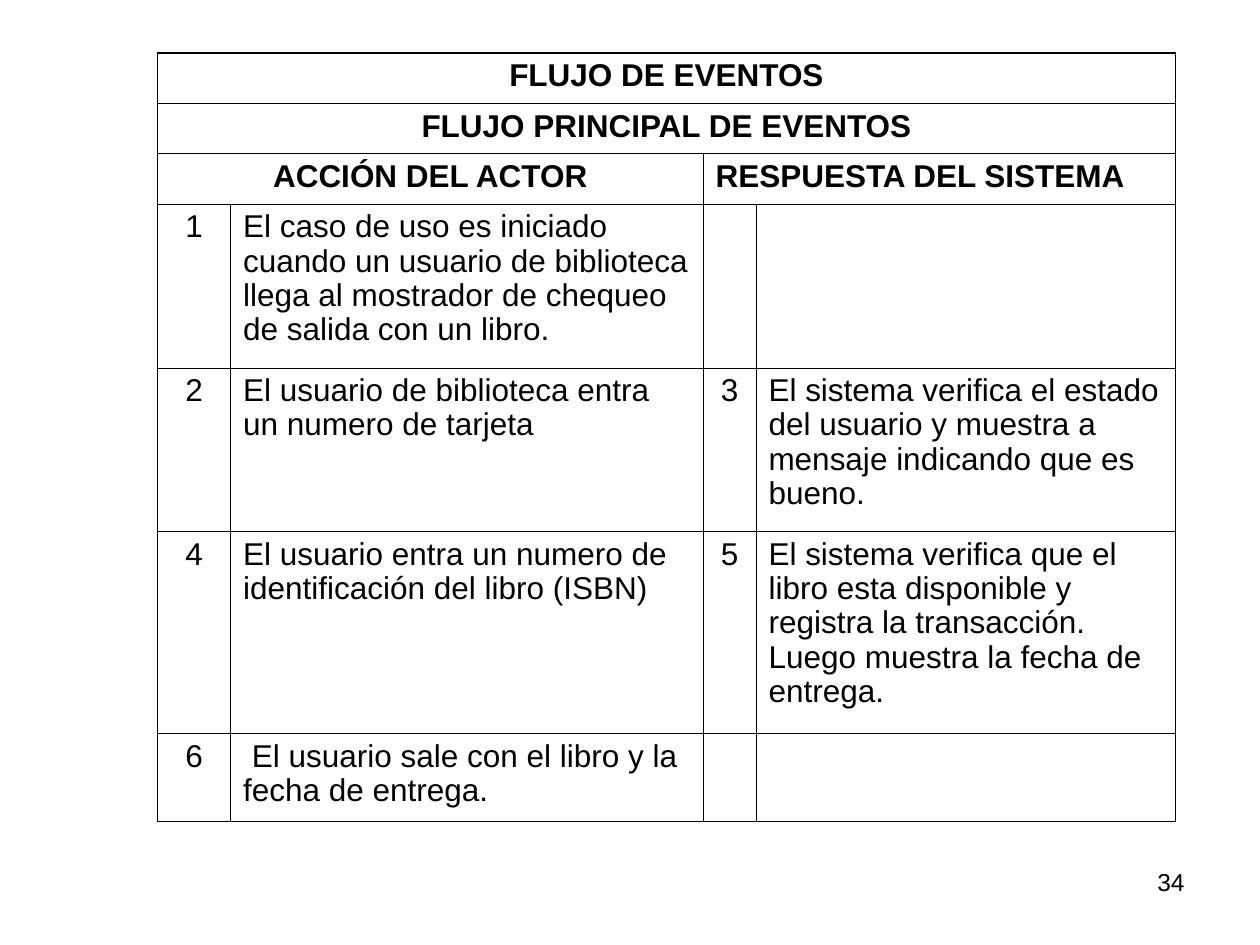
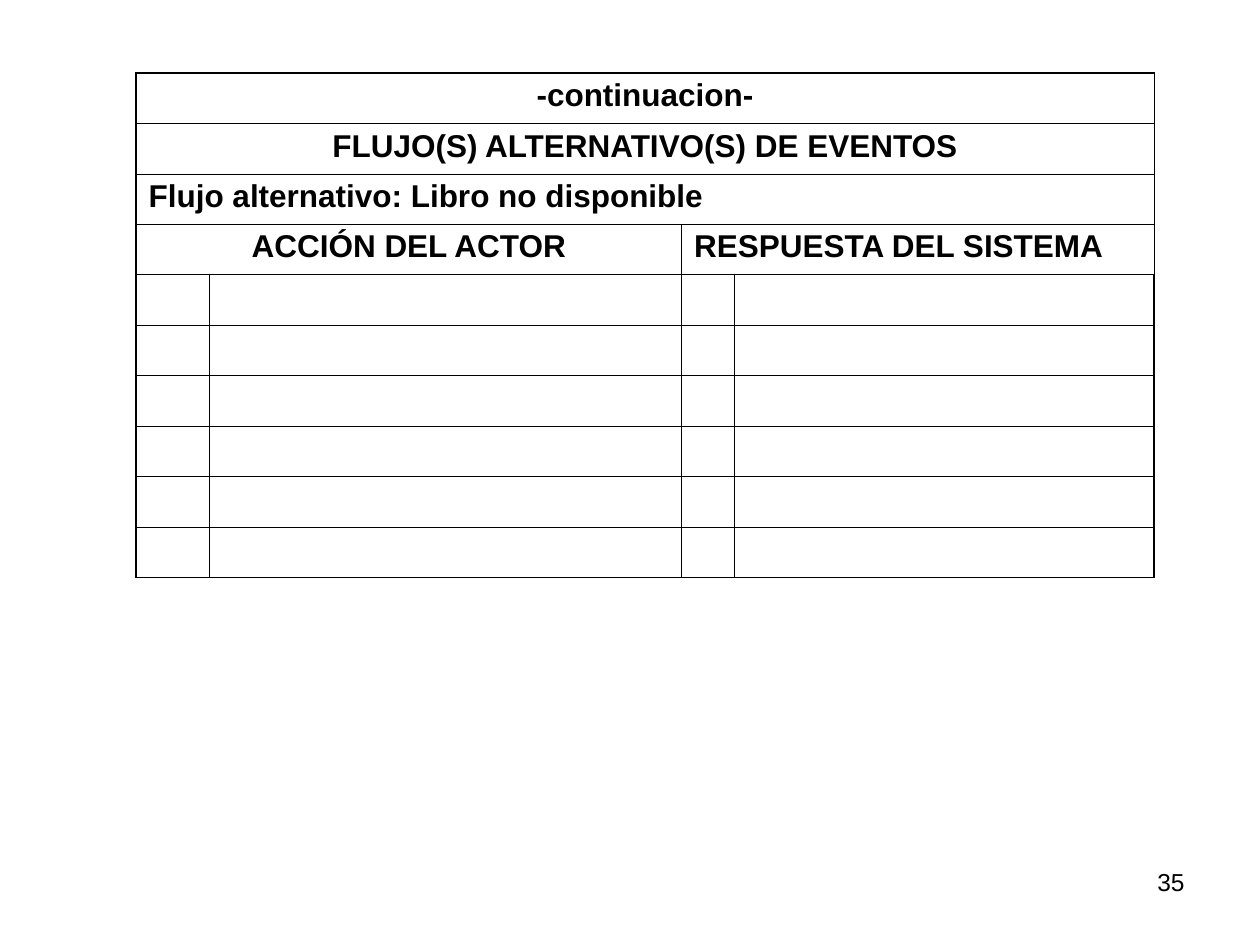
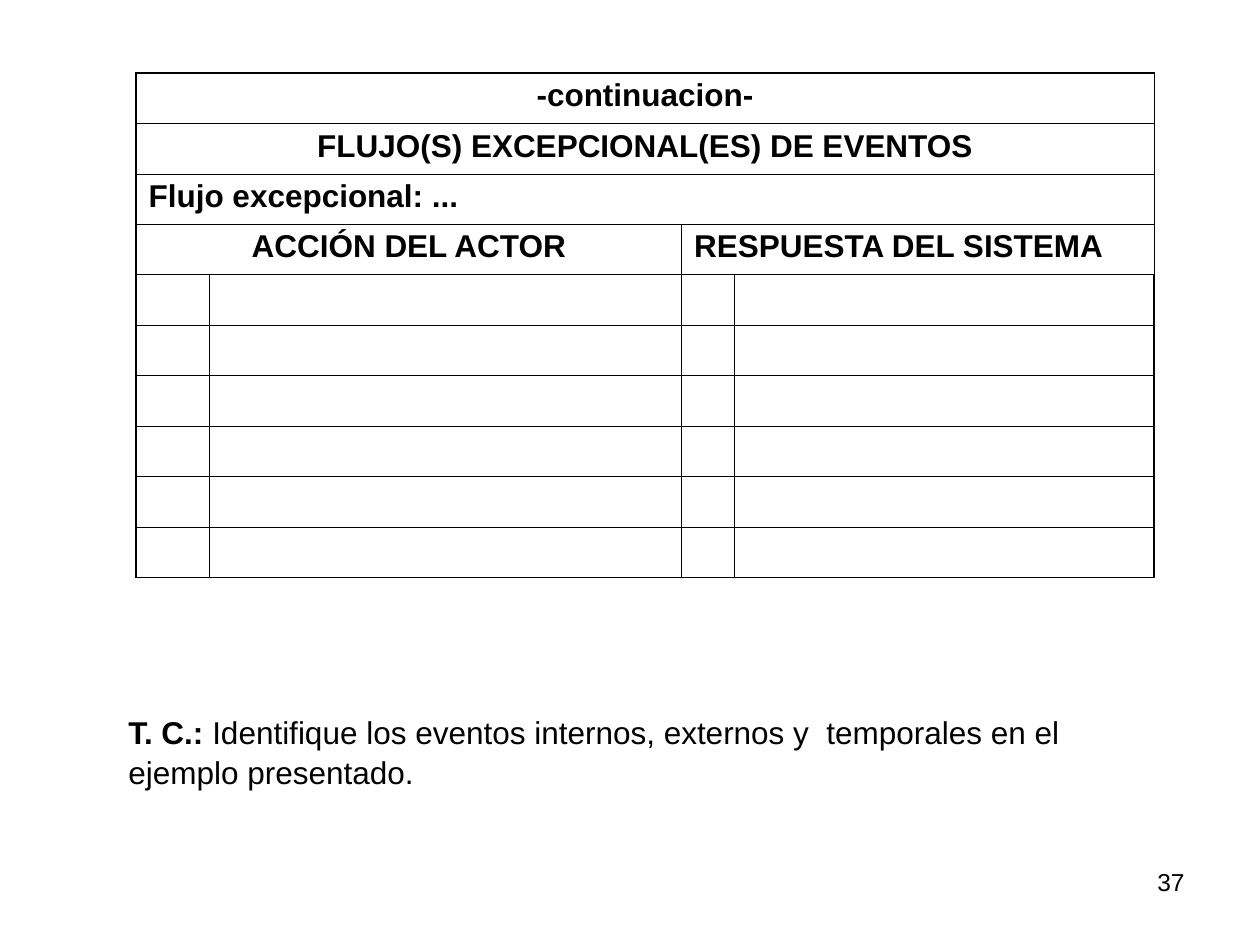
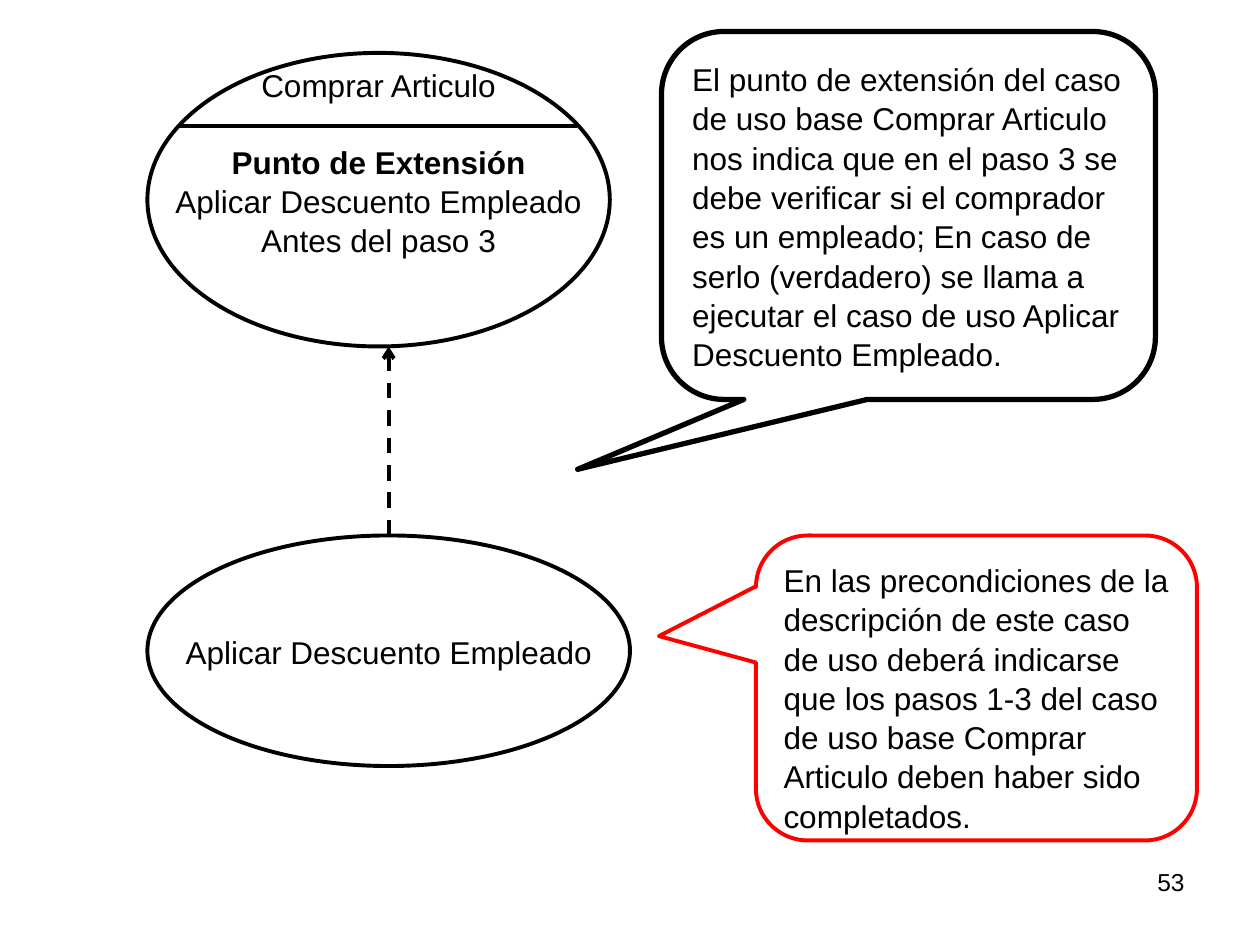
from dataclasses import dataclass

from lxml.etree import SubElement
from pptx import Presentation
from pptx.dml.color import RGBColor
from pptx.enum.dml import MSO_LINE
from pptx.enum.shapes import MSO_CONNECTOR, MSO_SHAPE
from pptx.enum.text import MSO_ANCHOR, PP_ALIGN
from pptx.oxml.ns import qn
from pptx.util import Inches, Pt

# Shared style
BLACK = RGBColor(0x00, 0x00, 0x00)
RED = RGBColor(0xFF, 0x00, 0x00)
FONT = "Arial"
BODY_SIZE = 18
NUMBER_SIZE = 14
BODY_SPACING = 1.04
CELL_SPACING = 0.97
BODY_TOP_INSET = 0.07
OUTER_BORDER = 1.08
INNER_BORDER = 0.45
COLUMN_WIDTHS = (0.58, 3.75, 0.42, 3.33)
HEADER_HEIGHT = 0.4


@dataclass(frozen=True)
class Entry:
    text: str = ""
    bold: bool = False
    centered: bool = False


@dataclass(frozen=True)
class FlowRow:
    entries: tuple[Entry, ...]
    height: float = HEADER_HEIGHT


@dataclass(frozen=True)
class Callout:
    left: float
    top: float
    width: float
    height: float
    adjustments: tuple[float, float, float]
    color: RGBColor
    weight: float
    text: str


# Row kinds of the flow tables
def heading(text: str, centered: bool = True) -> FlowRow:
    return FlowRow((Entry(text, True, centered),))


def step(height: float, actor: tuple[str, str], system: tuple[str, str] = ("", "")) -> FlowRow:
    entries = []
    for number, text in (actor, system):
        entries += [Entry(number, centered=True), Entry(text)]
    return FlowRow(tuple(entries), height)


ROLES = FlowRow((Entry("ACCIÓN DEL ACTOR", True, True), Entry("RESPUESTA DEL SISTEMA", True)))
EMPTY_STEPS = [step(HEADER_HEIGHT, ("", ""))] * 6

MAIN_FLOW = [
    heading("FLUJO DE EVENTOS"),
    heading("FLUJO PRINCIPAL DE EVENTOS"),
    ROLES,
    step(1.3, ("1", "El caso de uso es iniciado cuando un usuario de biblioteca llega al "
                    "mostrador de chequeo de salida con un libro.")),
    step(1.3, ("2", "El usuario de biblioteca entra un numero de tarjeta"),
         ("3", "El sistema verifica el estado del usuario y muestra a mensaje indicando "
               "que es bueno.")),
    step(1.6, ("4", "El usuario entra un numero de identificación del libro (ISBN)"),
         ("5", "El sistema verifica que el libro esta disponible y registra la transacción. "
               "Luego muestra la fecha de entrega.")),
    step(0.7, ("6", " El usuario sale con el libro y la fecha de entrega.")),
]

CALLOUTS = [
    Callout(5.25, 0.25, 3.92, 2.92, (-0.67, 0.69, 0.17), BLACK, 3,
            "El punto de extensión del caso de uso base Comprar Articulo nos indica que en el "
            "paso 3 se debe verificar si el comprador es un empleado; En caso de serlo "
            "(verdadero) se llama a ejecutar el caso de uso Aplicar Descuento Empleado."),
    Callout(6, 4.25, 3.5, 2.42, (-0.72, -0.17, 0.17), RED, 2.25,
            "En las precondiciones de la descripción de este caso de uso deberá indicarse que "
            "los pasos 1-3 del caso de uso base Comprar Articulo deben haber sido completados."),
]


# Text
def add_span(para, text: str, bold: bool = False, size: float = BODY_SIZE) -> None:
    span = para.add_run()
    span.text = text
    span.font.name = FONT
    span.font.size = Pt(size)
    span.font.bold = bold
    span.font.color.rgb = BLACK


def add_page(deck, number: int):
    page = deck.slides.add_slide(deck.slide_layouts[6])
    box = page.shapes.add_textbox(Inches(7.17), Inches(6.83), Inches(2.33), Inches(0.52))
    box.text_frame.word_wrap = True
    para = box.text_frame.paragraphs[0]
    para.alignment = PP_ALIGN.RIGHT
    add_span(para, str(number), size=NUMBER_SIZE)
    return page


# Tables
def set_borders(cell, at_left: bool, at_right: bool, at_top: bool, at_bottom: bool) -> None:
    properties = cell._tc.get_or_add_tcPr()
    sides = (("lnL", at_left), ("lnR", at_right), ("lnT", at_top), ("lnB", at_bottom))
    for tag, is_outer in sides:
        weight = OUTER_BORDER if is_outer else INNER_BORDER
        line = SubElement(properties, qn(f"a:{tag}"), w=str(int(Pt(weight))))
        fill = SubElement(line, qn("a:solidFill"))
        SubElement(fill, qn("a:srgbClr"), val=str(BLACK))


def fill_cell(cell, entry: Entry) -> None:
    para = cell.text_frame.paragraphs[0]
    para.alignment = PP_ALIGN.CENTER if entry.centered else PP_ALIGN.LEFT
    para.line_spacing = CELL_SPACING
    if entry.text:
        add_span(para, entry.text, entry.bold)


def add_flow_table(page, left: float, top: float, rows: list[FlowRow]) -> None:
    columns = len(COLUMN_WIDTHS)
    frame = page.shapes.add_table(
        len(rows), columns, Inches(left), Inches(top),
        Inches(sum(COLUMN_WIDTHS)), Inches(sum(row.height for row in rows)))
    table = frame.table
    table.first_row = table.horz_banding = False
    for column, width in zip(table.columns, COLUMN_WIDTHS):
        column.width = Inches(width)
    for r, row in enumerate(rows):
        table.rows[r].height = Inches(row.height)
        for c in range(columns):
            cell = table.cell(r, c)
            set_borders(cell, c == 0, c == columns - 1, r == 0, r == len(rows) - 1)
            cell.fill.background()
        # Fewer entries than columns means wider, merged cells
        reach = columns // len(row.entries)
        for i, entry in enumerate(row.entries):
            cell = table.cell(r, i * reach)
            if reach > 1:
                cell.merge(table.cell(r, (i + 1) * reach - 1))
            fill_cell(cell, entry)


# Diagram parts
def add_outline(page, kind, left: float, top: float, width: float, height: float,
                color: RGBColor = BLACK, weight: float = 2.25):
    shape = page.shapes.add_shape(kind, Inches(left), Inches(top), Inches(width), Inches(height))
    shape.shadow.inherit = False
    shape.fill.background()
    shape.line.color.rgb = color
    shape.line.width = Pt(weight)
    return shape


def add_use_case(page, left: float, top: float, width: float, height: float,
                 lines: list[Entry]):
    ellipse = add_outline(page, MSO_SHAPE.OVAL, left, top, width, height)
    frame = ellipse.text_frame
    frame.word_wrap = False
    frame.vertical_anchor = MSO_ANCHOR.MIDDLE
    for i, entry in enumerate(lines):
        para = frame.paragraphs[0] if i == 0 else frame.add_paragraph()
        para.alignment = PP_ALIGN.CENTER
        para.line_spacing = BODY_SPACING
        add_span(para, entry.text, entry.bold)
    return ellipse


def add_callout(page, callout: Callout) -> None:
    shape = add_outline(page, MSO_SHAPE.ROUNDED_RECTANGULAR_CALLOUT, callout.left, callout.top,
                        callout.width, callout.height, callout.color, callout.weight)
    for i, value in enumerate(callout.adjustments):
        shape.adjustments[i] = value
    frame = shape.text_frame
    frame.word_wrap = True
    frame.vertical_anchor = MSO_ANCHOR.TOP
    frame.margin_top = Inches(BODY_TOP_INSET)
    para = frame.paragraphs[0]
    para.alignment = PP_ALIGN.LEFT
    para.line_spacing = BODY_SPACING
    add_span(para, callout.text)


def add_line(page, start: tuple[int, int], end: tuple[int, int]):
    line = page.shapes.add_connector(MSO_CONNECTOR.STRAIGHT, *start, *end)
    line.line.color.rgb = BLACK
    line.line.width = Pt(2.25)
    SubElement(line._element.spPr, qn("a:effectLst"))
    return line


# Slides
def add_exercise(page) -> None:
    box = page.shapes.add_textbox(Inches(0.92), Inches(5.58), Inches(8.17), Inches(0.7))
    box.text_frame.word_wrap = True
    box.text_frame.margin_top = Inches(BODY_TOP_INSET)
    para = box.text_frame.paragraphs[0]
    para.line_spacing = BODY_SPACING
    add_span(para, "T. C.:", bold=True)
    add_span(para, " Identifique los eventos internos, externos y  temporales en el "
                   "ejemplo presentado.")


def add_extension_diagram(page) -> None:
    base = add_use_case(page, 1.17, 0.42, 3.67, 2.33, [
        Entry("Comprar Articulo"),
        Entry("Punto de Extensión", bold=True),
        Entry("Aplicar Descuento Empleado"),
        Entry("Antes del paso 3"),
    ])
    # Lift the name above the divider and leave room for the divider
    base.text_frame.margin_bottom = Inches(0.65)
    base.text_frame.paragraphs[1].space_before = Pt(21.5)
    add_line(page, (Inches(1.42), Inches(1)), (Inches(4.58), Inches(1)))

    extension = add_use_case(page, 1.17, 4.25, 3.83, 1.83, [Entry("Aplicar Descuento Empleado")])
    center = extension.left + extension.width // 2
    arrow = add_line(page, (center, extension.top), (center, base.top + base.height))
    arrow.begin_connect(extension, 0)
    arrow.line.dash_style = MSO_LINE.DASH
    SubElement(arrow.line._get_or_add_ln(), qn("a:tailEnd"), type="arrow")

    for callout in CALLOUTS:
        add_callout(page, callout)


def main() -> None:
    deck = Presentation()
    deck.slide_width = Inches(10)
    deck.slide_height = Inches(7.5)

    add_flow_table(add_page(deck, 34), 1.25, 0.42, MAIN_FLOW)

    continuations = (
        (35, "FLUJO(S) ALTERNATIVO(S) DE EVENTOS", "Flujo alternativo: Libro no disponible"),
        (37, "FLUJO(S) EXCEPCIONAL(ES) DE EVENTOS", "Flujo excepcional: ..."),
    )
    for number, title, flow in continuations:
        page = add_page(deck, number)
        rows = [heading("-continuacion-"), heading(title), heading(flow, centered=False), ROLES]
        add_flow_table(page, 1.08, 0.58, rows + EMPTY_STEPS)
    add_exercise(page)

    add_extension_diagram(add_page(deck, 53))
    deck.save("out.pptx")


if __name__ == "__main__":
    main()
